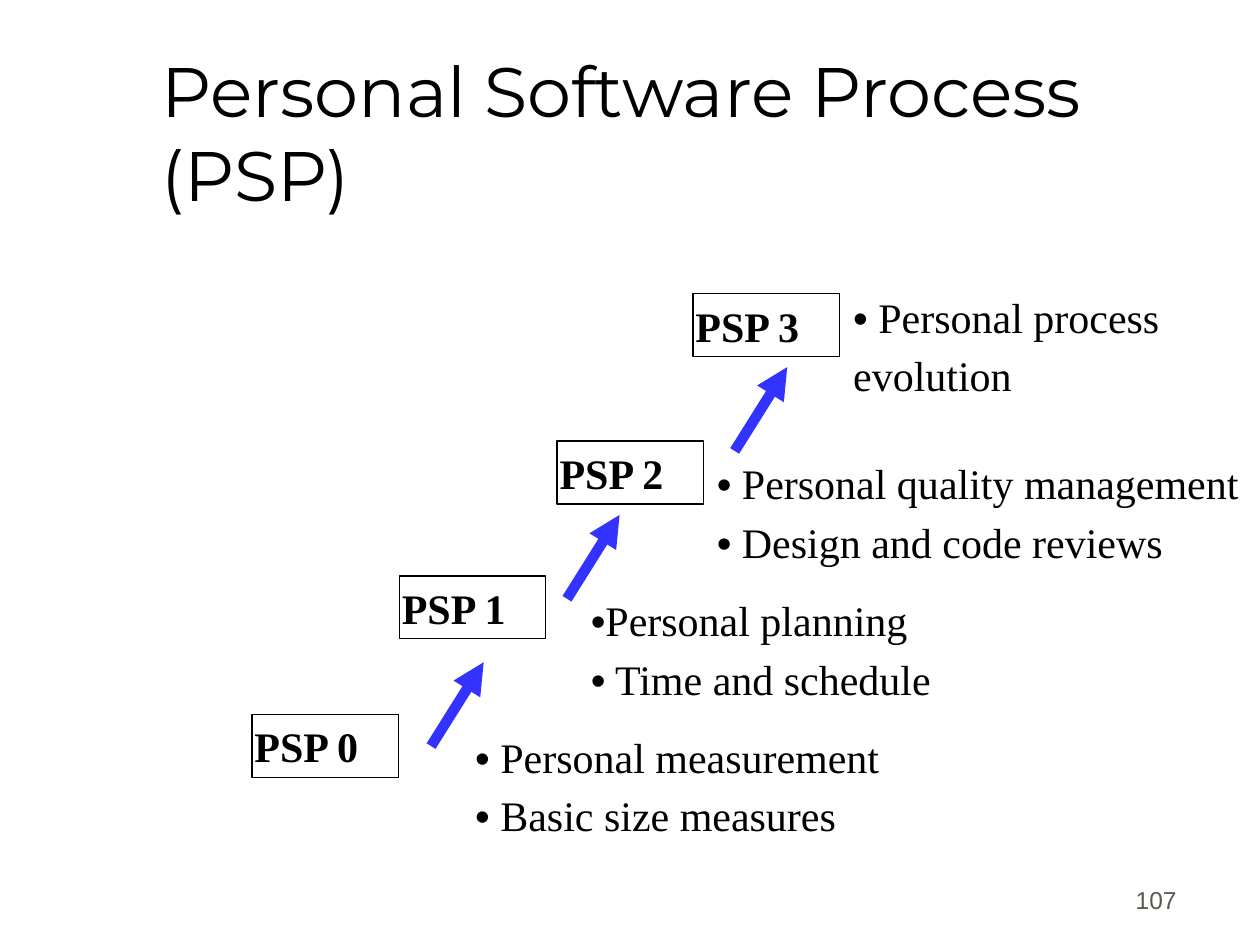
from dataclasses import dataclass

from lxml import etree
from pptx import Presentation
from pptx.dml.color import RGBColor
from pptx.enum.shapes import MSO_CONNECTOR as Connector, MSO_SHAPE as Shape
from pptx.enum.text import MSO_ANCHOR as Anchor, PP_ALIGN as Align
from pptx.oxml.ns import qn
from pptx.util import Cm, Pt

BLACK = RGBColor(0x00, 0x00, 0x00)
BLUE = RGBColor(0x33, 0x33, 0xFF)
GREY = RGBColor(0x5E, 0x57, 0x4E)
SERIF = "Times New Roman"
SANS = "Arial"
BULLET = "•"

# Lengths in centimetres
LEVEL_SIZE = (2.95, 1.27)
NOTE_HEIGHT = 2.34
ARROW_RUN, ARROW_RISE = 1.06, 1.69


@dataclass
class Level:
    name: str
    box_at: tuple[float, float]
    note_at: tuple[float, float]
    lines: tuple[str, ...]
    note_width: float = 9.07


LEVELS = [
    Level("PSP 0", (5.08, 14.4), (9.53, 14.61),
          ("• Personal measurement", "• Basic size measures")),
    Level("PSP 1", (8.05, 11.61), (11.86, 11.86),
          ("•Personal planning", "• Time and schedule")),
    Level("PSP 2", (11.23, 8.89), (14.4, 9.09),
          ("• Personal quality management", "• Design and code reviews"), 11.43),
    Level("PSP 3", (13.97, 5.92), (17.15, 5.74),
          ("• Personal process", "evolution")),
]
ARROW_STARTS = [(8.69, 15.04), (11.43, 12.07), (14.81, 9.09)]


def set_frame(box, anchor: Anchor, side: float = 0.05) -> None:
    frame = box.text_frame
    frame.word_wrap = True
    frame.vertical_anchor = anchor
    frame.margin_left = frame.margin_right = Cm(side)
    frame.margin_top = frame.margin_bottom = Cm(0.13)


def style_span(span, font: str, size: float, color: RGBColor, bold: bool = False) -> None:
    span.font.name = font
    span.font.size = Pt(size)
    span.font.color.rgb = color
    span.font.bold = bold


def add_label(page, place: tuple[float, ...], text: str, font: str, size: float,
              color: RGBColor, anchor: Anchor, align: Align, before: float,
              side: float = 0.05) -> None:
    box = page.shapes.add_textbox(*map(Cm, place))
    set_frame(box, anchor, side)
    para = box.text_frame.paragraphs[0]
    para.text = text
    para.alignment = align
    para.space_before = Pt(before)
    style_span(para.runs[0], font, size, color)


def add_level_box(page, level: Level) -> None:
    box = page.shapes.add_shape(Shape.RECTANGLE, *map(Cm, level.box_at + LEVEL_SIZE))
    box.shadow.inherit = False
    box.fill.background()
    box.line.color.rgb = BLACK
    box.line.width = Pt(0.75)
    set_frame(box, Anchor.TOP)
    para = box.text_frame.paragraphs[0]
    para.text = level.name
    para.alignment = Align.LEFT
    para.space_before = Pt(13.1)
    style_span(para.runs[0], SERIF, 24, BLACK, bold=True)


def add_note(page, level: Level) -> None:
    box = page.shapes.add_textbox(
        *map(Cm, level.note_at + (level.note_width, NOTE_HEIGHT)))
    set_frame(box, Anchor.TOP)
    box.text_frame.text = "\n".join(level.lines)
    for para, line in zip(box.text_frame.paragraphs, level.lines):
        para.space_before = Pt(4.8)
        span = para.runs[0]
        if line.startswith(BULLET):
            span.text = BULLET
            style_span(span, SANS, 24, BLACK)
            span = para.add_run()
            span.text = line.removeprefix(BULLET)
        style_span(span, SERIF, 24, BLACK)


def add_arrow(page, left: float, bottom: float) -> None:
    arrow = page.shapes.add_connector(
        Connector.STRAIGHT, Cm(left), Cm(bottom),
        Cm(left + ARROW_RUN), Cm(bottom - ARROW_RISE))
    arrow.line.color.rgb = BLUE
    arrow.line.width = Pt(6)
    properties = arrow.element.spPr
    etree.SubElement(properties.find(qn("a:ln")), qn("a:tailEnd"), type="triangle")
    etree.SubElement(properties, qn("a:effectLst"))


def main() -> None:
    deck = Presentation()
    deck.slide_width, deck.slide_height = Cm(25.4), Cm(19.05)
    page = deck.slides.add_slide(deck.slide_layouts[6])

    # Page number and title
    add_label(page, (18.69, 17.3, 5.28, 1.27), "107", SANS, 14, GREY,
              Anchor.BOTTOM, Align.RIGHT, 8.8, side=0.25)
    add_label(page, (3.2, 0.71, 21.62, 3.89), "Personal Software Process (PSP)",
              "Montserrat", 40, BLACK, Anchor.MIDDLE, Align.LEFT, 4.8)

    # Staircase of levels, joined by arrows
    for level in LEVELS:
        add_level_box(page, level)
    for left, bottom in ARROW_STARTS:
        add_arrow(page, left, bottom)

    # Practices beside each level
    for level in LEVELS:
        add_note(page, level)

    deck.save("out.pptx")


if __name__ == "__main__":
    main()
